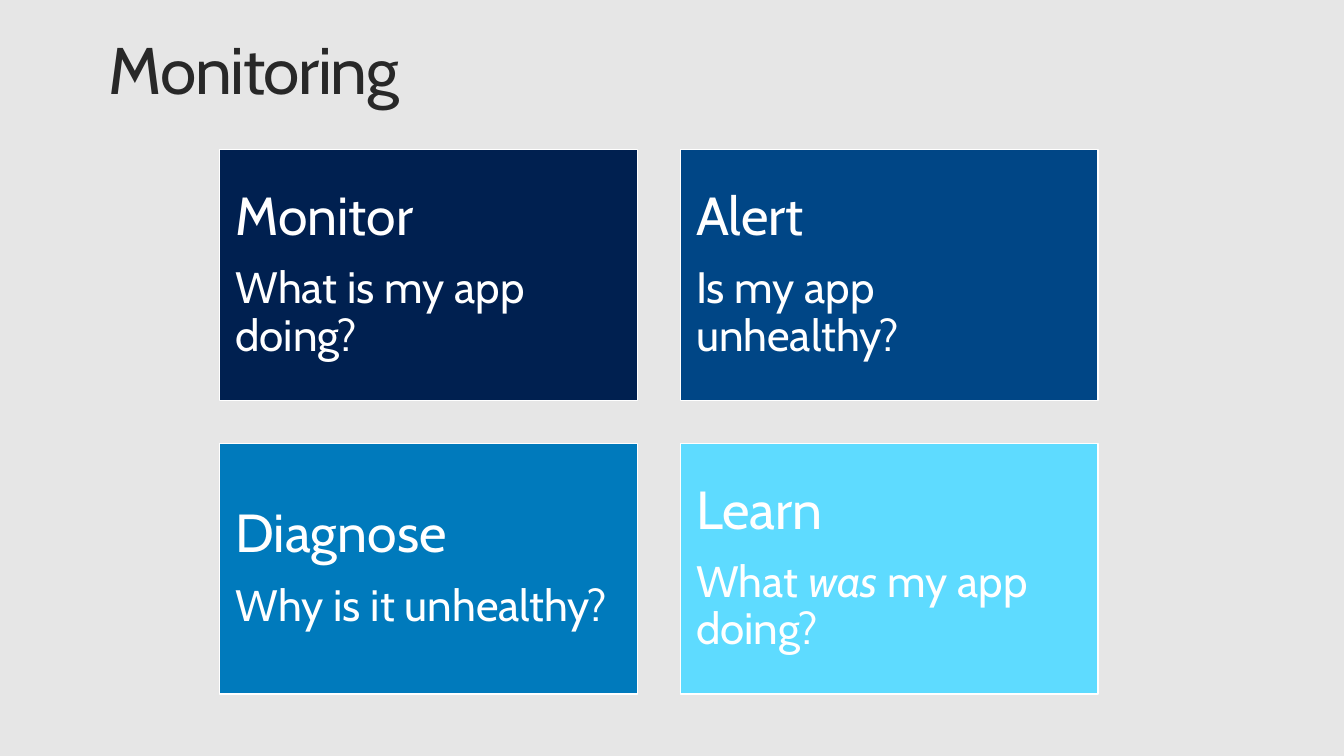
from pptx import Presentation
from pptx.dml.color import RGBColor
from pptx.enum.shapes import MSO_SHAPE as Shape
from pptx.enum.text import MSO_ANCHOR as Anchor, PP_ALIGN as Align
from pptx.util import Cm, Pt

FONT = "Cabin"
WHITE = "FFFFFF"

# Card grid, in centimetres
LEFT, TOP = 5.64, 3.84
WIDTH, HEIGHT = 10.74, 6.45
STEP_X, STEP_Y = 11.84, 7.55

# Heading, question (stars enclose italics), fill
CARDS = [
    ("Monitor", "What is my app doing?", "002050"),
    ("Alert", "Is my app unhealthy?", "004686"),
    ("Diagnose", "Why is it unhealthy?", "007ABC"),
    ("Learn", "What *was* my app doing?", "5EDBFF"),
]


def paint(fmt, color):
    fmt.solid()
    fmt.fore_color.rgb = RGBColor.from_string(color)


def style(para, size, color):
    para.alignment = Align.LEFT
    para.line_spacing = 0.9
    for run in para.runs:
        run.font.name = FONT
        run.font.size = Pt(size)
        paint(run.font.fill, color)


def inset(frame, side, edge):
    frame.word_wrap = True
    frame.margin_left = frame.margin_right = Cm(side)
    frame.margin_top = frame.margin_bottom = Cm(edge)


def add_title(slide, text):
    box = slide.shapes.add_textbox(Cm(2.39), Cm(0.71), Cm(29.79), Cm(3.76))
    frame = box.text_frame
    inset(frame, 0.41, 0.25)
    frame.text = text
    para = frame.paragraphs[0]
    style(para, 48, "282828")
    # Tighten letters by one point
    para.runs[0].font._element.set("spc", "-100")


def add_card(slide, x, y, head, query, fill):
    card = slide.shapes.add_shape(
        Shape.RECTANGLE, Cm(x), Cm(y), Cm(WIDTH), Cm(HEIGHT))
    card.shadow.inherit = False
    paint(card.fill, fill)
    paint(card.line.fill, WHITE)
    card.line.width = Pt(0.85)

    frame = card.text_frame
    inset(frame, 0.41, 0.41)
    frame.vertical_anchor = Anchor.MIDDLE

    # Heading
    frame.text = head
    top = frame.paragraphs[0]
    style(top, 39, WHITE)
    top.space_after = Pt(13.65)

    # Question
    para = frame.add_paragraph()
    for i, part in enumerate(query.split("*")):
        run = para.add_run()
        run.text = part
        run.font.italic = i % 2 == 1
    style(para, 32, WHITE)


def main():
    deck = Presentation()
    deck.slide_width, deck.slide_height = Cm(34.54), Cm(19.43)
    slide = deck.slides.add_slide(deck.slide_layouts[6])
    paint(slide.background.fill, "E6E6E6")

    add_title(slide, "Monitoring")
    for i, card in enumerate(CARDS):
        row, col = divmod(i, 2)
        add_card(slide, LEFT + col * STEP_X, TOP + row * STEP_Y, *card)

    deck.save("out.pptx")


if __name__ == "__main__":
    main()
